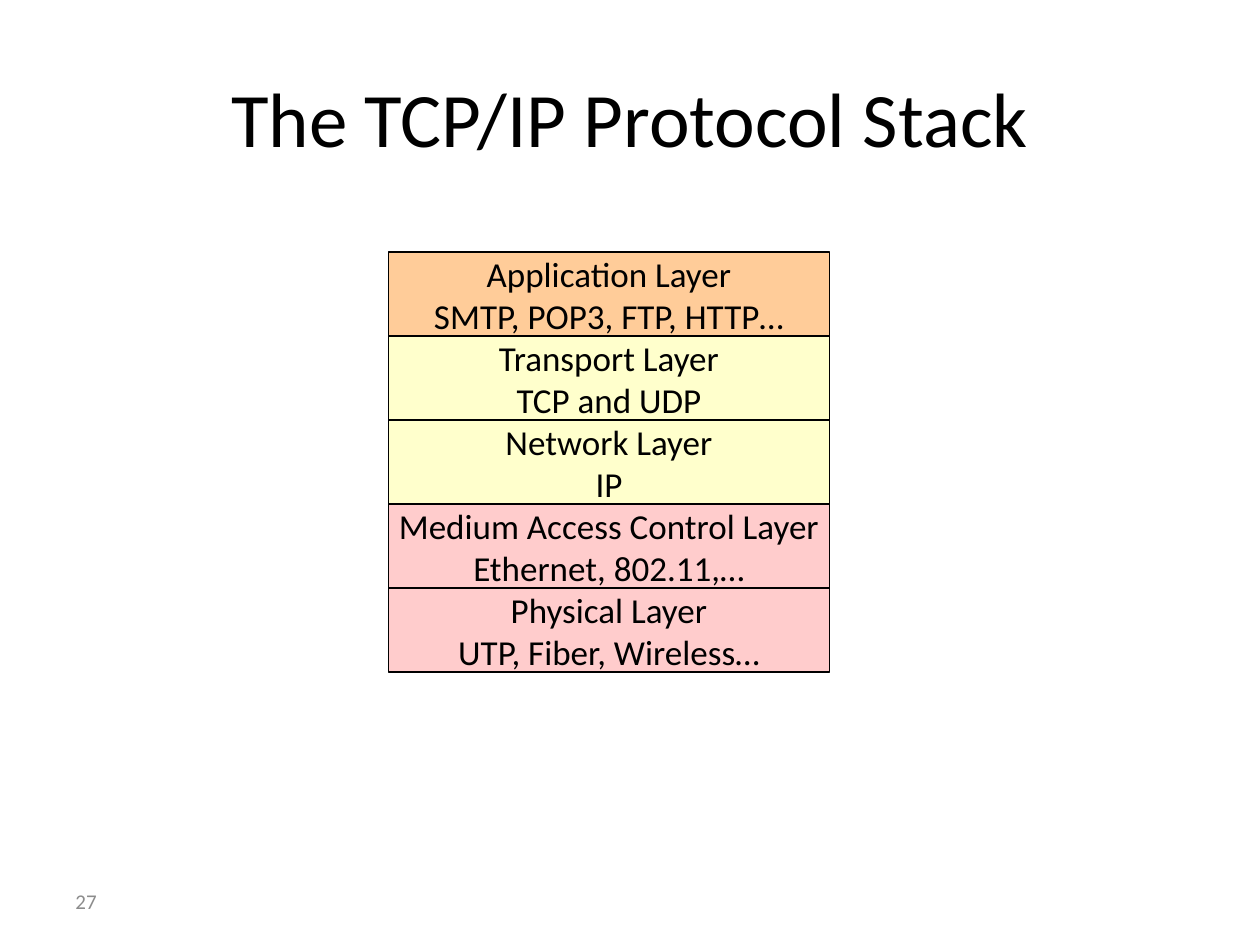
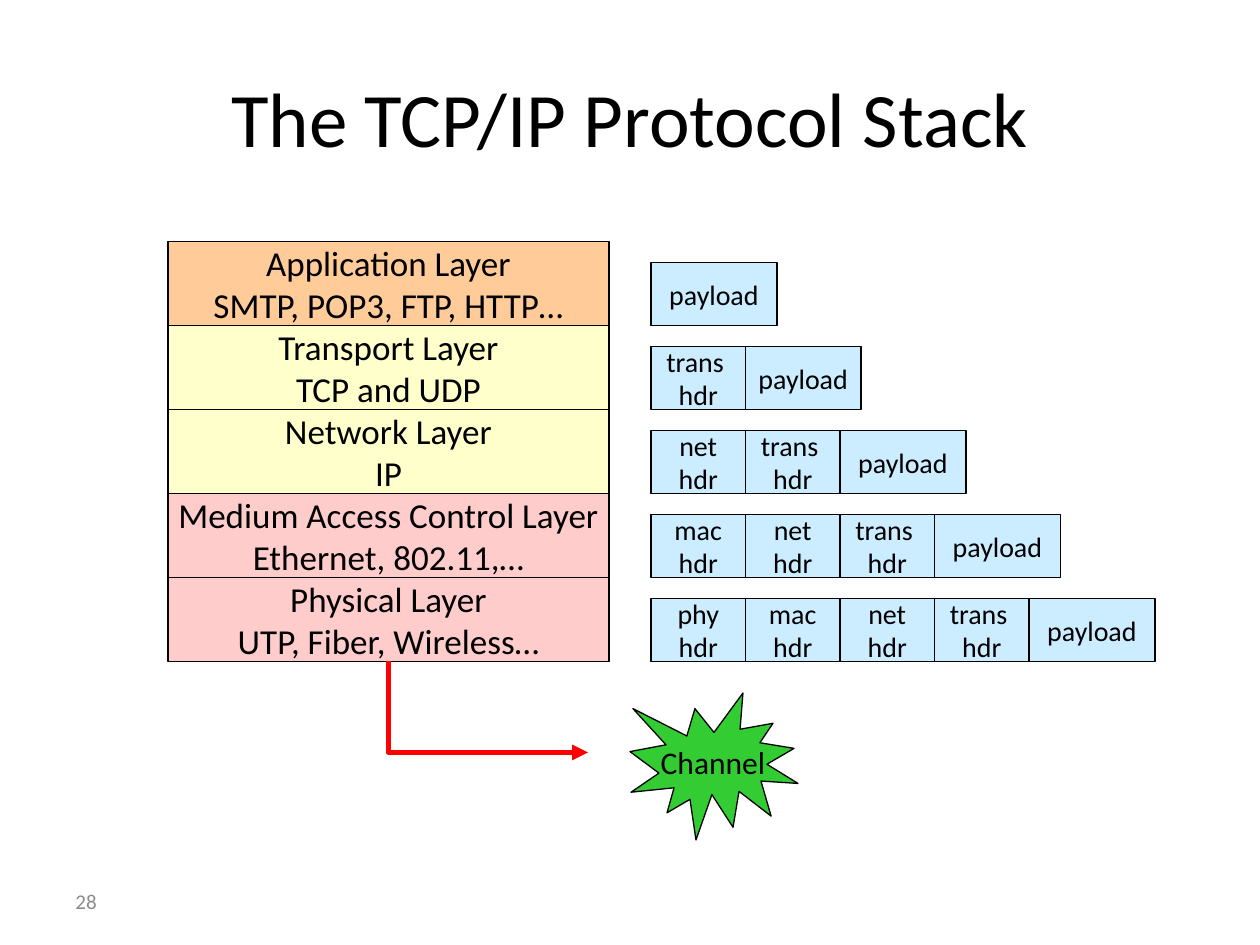
from dataclasses import dataclass

from lxml.etree import SubElement
from pptx import Presentation
from pptx.dml.color import RGBColor
from pptx.enum.shapes import MSO_CONNECTOR as Connector, MSO_SHAPE as Shape
from pptx.enum.text import MSO_ANCHOR as Anchor, PP_ALIGN as Align
from pptx.oxml.ns import qn
from pptx.slide import Slide
from pptx.text.text import TextFrame
from pptx.util import Pt

COLORS = {
    "text": "000000",
    "number": "8C8C8C",
    "application": "FFCC99",
    "internet": "FFFFCC",
    "link": "FFCCCC",
    "packet": "CCECFF",
    "channel": "33CC33",
    "arrow": "FF0000",
}
FONT = "Calibri"
TITLE = "The TCP/IP Protocol Stack"
LAYER_WIDTH, LAYER_HEIGHT = 252, 48
HEADER_WIDTH, PAYLOAD_WIDTH, PACKET_HEIGHT = 54, 72, 36
PACKET_LEFT = 372


@dataclass
class Area:
    left: float
    top: float
    width: float
    height: float

    def lengths(self) -> list[Pt]:
        return [Pt(n) for n in (self.left, self.top, self.width, self.height)]


@dataclass
class Layer:
    name: str
    protocols: str
    color: str
    header: str = ""
    payload_width: float = PAYLOAD_WIDTH


LAYERS = [
    Layer("Application Layer", "SMTP, POP3, FTP, HTTP…", "application"),
    Layer("Transport Layer", "TCP and UDP", "internet", "trans ", 66),
    Layer("Network Layer", "IP", "internet", "net"),
    Layer("Medium Access Control Layer", "Ethernet, 802.11,…", "link", "mac"),
    Layer("Physical Layer", "UTP, Fiber, Wireless…", "link", "phy"),
]


def rgb(name: str) -> RGBColor:
    return RGBColor.from_string(COLORS[name])


def write(frame: TextFrame, lines: list[str], size: float,
          color: str = "text", align: Align = Align.CENTER) -> None:
    frame.vertical_anchor = Anchor.MIDDLE
    for index, line in enumerate(lines):
        para = frame.add_paragraph() if index else frame.paragraphs[0]
        para.text = line
        para.alignment = align
        para.font.name = FONT
        para.font.size = Pt(size)
        para.font.color.rgb = rgb(color)


def add_text(page: Slide, area: Area, text: str, size: float,
             color: str, align: Align) -> None:
    box = page.shapes.add_textbox(*area.lengths())
    box.text_frame.word_wrap = True
    write(box.text_frame, [text], size, color, align)


def add_box(page: Slide, area: Area, lines: list[str], size: float,
            color: str, kind: Shape = Shape.RECTANGLE) -> None:
    box = page.shapes.add_shape(kind, *area.lengths())
    box.shadow.inherit = False
    box.fill.solid()
    box.fill.fore_color.rgb = rgb(color)
    box.line.color.rgb = rgb("text")
    box.line.width = Pt(0.75)
    box.text_frame.word_wrap = False
    write(box.text_frame, lines, size)


def add_page(deck: Presentation, number: int) -> Slide:
    page = deck.slides.add_slide(deck.slide_layouts[6])
    add_text(page, Area(36, 21.6, 648, 90), TITLE, 44, "text", Align.CENTER)
    add_text(page, Area(36, 500.5, 168, 28.8), str(number), 12, "number", Align.LEFT)
    return page


def add_stack(page: Slide, left: float, top: float) -> None:
    for row, layer in enumerate(LAYERS):
        area = Area(left, top + row * LAYER_HEIGHT, LAYER_WIDTH, LAYER_HEIGHT)
        add_box(page, area, [layer.name, layer.protocols], 20, layer.color)


def add_packets(page: Slide, top: float) -> None:
    """Each layer puts its own header before the packet of the layer above."""
    headers: list[str] = []
    for row, layer in enumerate(LAYERS):
        if layer.header:
            headers.insert(0, layer.header)
        cells = [([header, "hdr"], HEADER_WIDTH) for header in headers]
        cells.append((["payload"], layer.payload_width))
        left = PACKET_LEFT
        for lines, width in cells:
            area = Area(left, top + row * LAYER_HEIGHT, width, PACKET_HEIGHT)
            add_box(page, area, lines, 16, "packet")
            left += width


def add_down_right_arrow(page: Slide, x1: float, y1: float, x2: float, y2: float) -> None:
    """Draw a one-bend arrow: the preset bends right then down, so turn it by 270°."""
    center_x, center_y = (x1 + x2) / 2, (y1 + y2) / 2
    half_width, half_height = (y2 - y1) / 2, (x2 - x1) / 2
    arrow = page.shapes.add_connector(
        Connector.ELBOW,
        Pt(center_x + half_width), Pt(center_y - half_height),
        Pt(center_x - half_width), Pt(center_y + half_height))
    arrow.line.color.rgb = rgb("arrow")
    arrow.line.width = Pt(3)
    properties = arrow._element.spPr
    properties.find(qn("a:xfrm")).set("rot", str(270 * 60000))
    properties.find(qn("a:prstGeom")).set("prst", "bentConnector2")
    SubElement(properties.find(qn("a:ln")), qn("a:tailEnd"), type="triangle")
    SubElement(properties, qn("a:effectLst"))


def main() -> None:
    deck = Presentation()
    deck.slide_width, deck.slide_height = Pt(720), Pt(540)

    add_stack(add_page(deck, 27), left=222, top=144)

    page = add_page(deck, 28)
    add_stack(page, left=96, top=138)
    add_packets(page, top=150)
    add_down_right_arrow(page, 222, 378, 336, 430)
    add_box(page, Area(360, 396, 96, 84), ["Channel"], 18, "channel", Shape.EXPLOSION1)

    deck.save("out.pptx")


if __name__ == "__main__":
    main()
